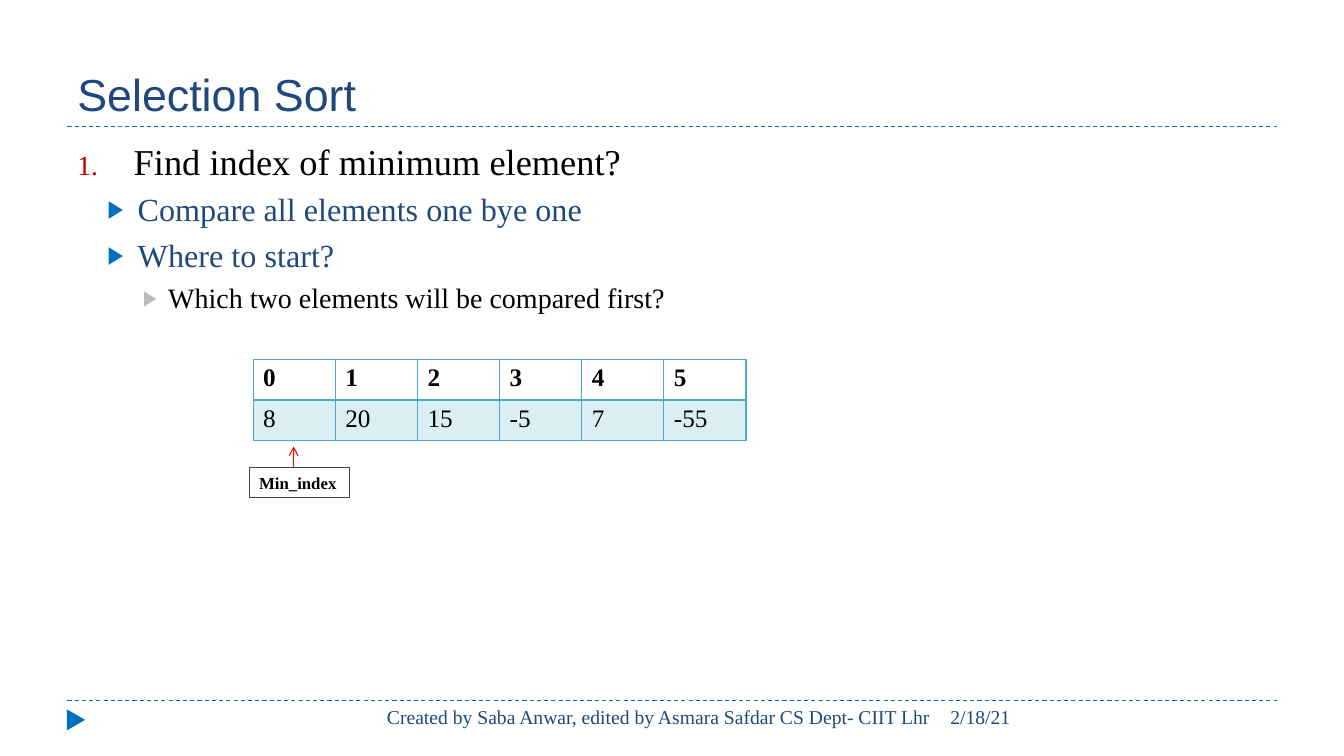
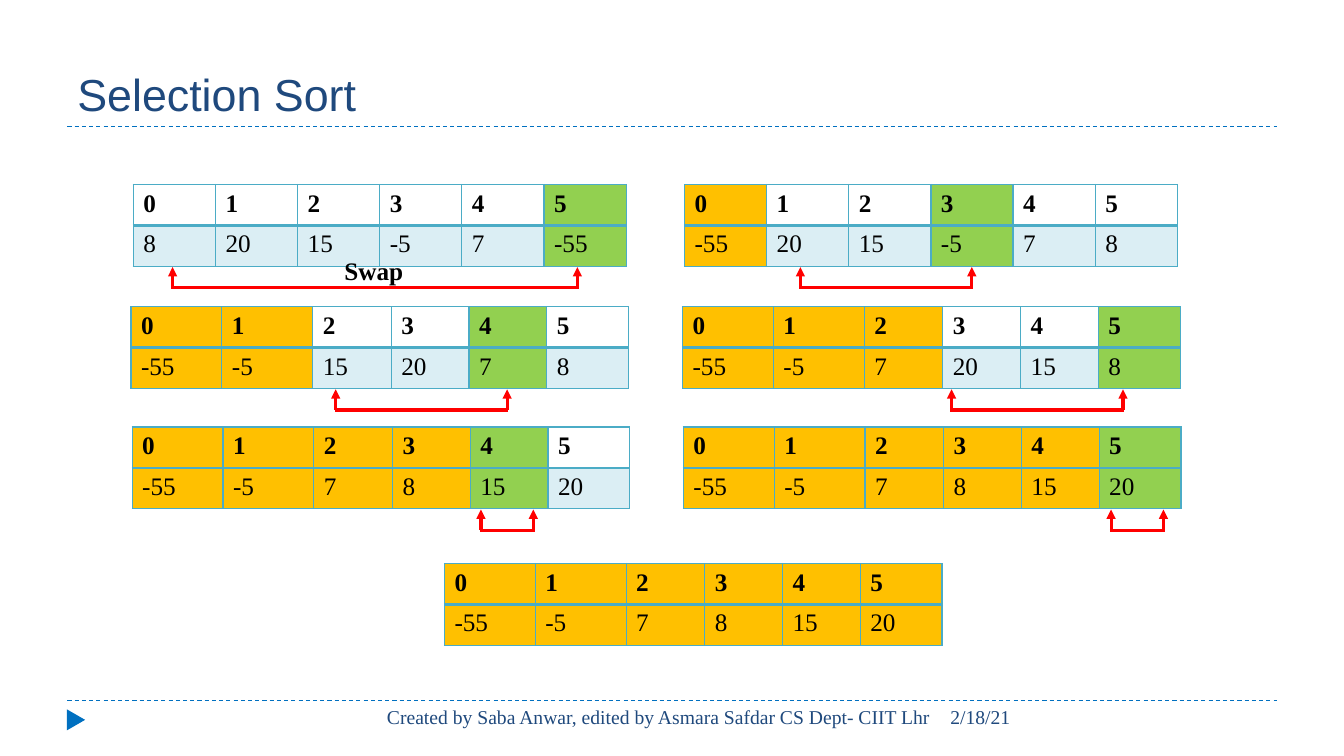
from lxml import etree
from pptx import Presentation
from pptx import util as u
from pptx.dml import color
from pptx.enum import dml, shapes, text
from pptx.oxml import ns

COLORS = {
    "navy": "1F497D", "blue": "0070C0", "black": "000000", "crimson": "C00000",
    "silver": "BDBDBD", "red": "FF0000", "frame": "404040", "teal": "4BACC6",
    "pale": "DBEEF4", "sorted": "FFC000", "minimum": "92D050",
}
SERIF, SANS = "Times New Roman", "Arial"
FOOTER = "Created by Saba Anwar, edited by Asmara Safdar CS Dept- CIIT Lhr"
START = [8, 20, 15, -5, 7, -55]
EVEN_COLUMNS = [2.07] * 6
WIDE_COLUMNS = [2.29, 2.29, 1.98, 1.96, 1.96, 2.06]
ROW = 1.03


def rgb(name):
    return color.RGBColor.from_string(COLORS[name])


def add_xml(parent, tag, **attributes):
    return etree.SubElement(parent, ns.qn(tag), attributes)


class SortDeck:
    def __init__(self):
        self.deck = Presentation()
        self.deck.slide_width = u.Cm(33.87)
        self.deck.slide_height = u.Cm(19.05)
        self.slide = None

    def new_slide(self, title):
        self.slide = self.deck.slides.add_slide(self.deck.slide_layouts[6])
        for y in (17.65, 3.18):
            self.line(1.7, y, 32.18, y, "blue", 0.75, dashed=True)
        marker = self.slide.shapes.add_shape(
            shapes.MSO_SHAPE.ISOSCELES_TRIANGLE,
            u.Cm(1.65), u.Cm(17.91), u.Cm(0.53), u.Cm(0.46))
        marker.rotation = 90
        marker.shadow.inherit = False
        marker.fill.solid()
        marker.fill.fore_color.rgb = rgb("blue")
        marker.line.fill.background()
        heading = self.text(1.7, 0.43, 30.48, 2.74, title, 32, "navy", font=SANS)
        heading.text_frame.vertical_anchor = text.MSO_ANCHOR.BOTTOM
        self.text(23.7, 17.65, 8.48, 1.02, "2/18/21", 14, "navy")
        footer = self.text(7.44, 17.65, 16.26, 1.02, FOOTER, 14, "navy")
        footer.text_frame.paragraphs[0].alignment = text.PP_ALIGN.RIGHT

    def style(self, para, size, tint, bold=False, font=SERIF):
        for span in para.runs:
            span.font.name = font
            span.font.size = u.Pt(size)
            span.font.bold = bold
            span.font.color.rgb = rgb(tint)

    def text(self, x, y, width, height, words, size, tint, bold=False, font=SERIF):
        box = self.slide.shapes.add_textbox(u.Cm(x), u.Cm(y), u.Cm(width), u.Cm(height))
        box.text_frame.word_wrap = True
        box.text_frame.text = words
        self.style(box.text_frame.paragraphs[0], size, tint, bold, font)
        return box

    def line(self, x1, y1, x2, y2, tint, width, dashed=False, head=None):
        line = self.slide.shapes.add_connector(
            shapes.MSO_CONNECTOR.STRAIGHT, u.Cm(x1), u.Cm(y1), u.Cm(x2), u.Cm(y2))
        line.line.color.rgb = rgb(tint)
        line.line.width = u.Pt(width)
        if dashed:
            line.line.dash_style = dml.MSO_LINE.DASH
        if head:
            add_xml(line.line._get_or_add_ln(), "a:tailEnd", type=head)
        add_xml(line._element.spPr, "a:effectLst")

    def outline(self, x, y, width, height, items):
        levels = [
            (1.42, -1.42, 6, 26, "black", "crimson"),
            (1.52, -0.76, 5, 23, "navy", "blue"),
            (2.29, -0.64, 5, 20, "black", "silver"),
        ]
        box = self.slide.shapes.add_textbox(u.Cm(x), u.Cm(y), u.Cm(width), u.Cm(height))
        frame = box.text_frame
        frame.word_wrap = True
        frame.text = "\n".join(words for _, words in items)
        for (level, _), para in zip(items, frame.paragraphs):
            margin, indent, before, size, tint, bullet = levels[level]
            self.style(para, size, tint)
            para.level = level
            para.space_before = u.Pt(before)
            props = para._p.get_or_add_pPr()
            props.set("marL", str(u.Cm(margin)))
            props.set("indent", str(u.Cm(indent)))
            add_xml(add_xml(props, "a:buClr"), "a:srgbClr", val=COLORS[bullet])
            add_xml(props, "a:buSzPct", val="76000")
            add_xml(props, "a:buFont", typeface=SANS if level else SERIF)
            if level:
                add_xml(props, "a:buChar", char="▶")
            else:
                add_xml(props, "a:buAutoNum", type="arabicPeriod")

    def label(self, x, y, width, height, words):
        box = self.slide.shapes.add_shape(
            shapes.MSO_SHAPE.RECTANGLE, u.Cm(x), u.Cm(y), u.Cm(width), u.Cm(height))
        box.shadow.inherit = False
        box.fill.background()
        box.line.color.rgb = rgb("frame")
        box.line.width = u.Pt(0.75)
        box.text_frame.text = words
        para = box.text_frame.paragraphs[0]
        para.alignment = text.PP_ALIGN.LEFT
        self.style(para, 12, "black", bold=True)

    def borders(self, cell, **widths):
        props = cell._tc.get_or_add_tcPr()
        for side in "LRTB":
            edge = add_xml(props, "a:ln" + side, w=str(u.Pt(widths.get(side, 1))))
            add_xml(add_xml(edge, "a:solidFill"), "a:srgbClr", val=COLORS["teal"])

    def array(self, x, y, columns, values, done=0, minimum=None):
        table = self.slide.shapes.add_table(
            2, len(values), u.Cm(x), u.Cm(y), u.Cm(sum(columns)), u.Cm(2 * ROW)).table
        table.first_row = table.horz_banding = False
        for row, items in enumerate((range(len(values)), values)):
            table.rows[row].height = u.Cm(ROW)
            for index, item in enumerate(items):
                table.columns[index].width = u.Cm(columns[index])
                cell = table.cell(row, index)
                cell.text = str(item)
                self.style(cell.text_frame.paragraphs[0], 18, "black", bold=row == 0)
                self.borders(cell, **{"TB"[1 - row]: 1, "BT"[row]: 2})
                tint = "pale" if row else None
                if index < done:
                    tint = "sorted"
                elif index == minimum:
                    tint = "minimum"
                if tint:
                    cell.fill.solid()
                    cell.fill.fore_color.rgb = rgb(tint)
                else:
                    cell.fill.background()

    def swap_arrows(self, left, right, top):
        base, tip = top + 2.6, top + 2.08
        self.line(left - 0.03, base, right + 0.03, base, "red", 2.25)
        for x in (right, left):
            self.line(x, base, x, tip, "red", 2.25, head="triangle")


def main():
    show = SortDeck()
    show.new_slide("Selection Sort")
    show.outline(1.7, 3.38, 30.48, 13.72, [
        (0, "Find index of minimum element?"),
        (1, "Compare all elements one bye one"),
        (1, "Where to start?"),
        (2, "Which two elements will be compared first?"),
    ])
    show.array(6.38, 9.05, EVEN_COLUMNS, START)
    show.label(6.28, 11.78, 2.53, 0.76, "Min_index")
    show.line(7.4, 11.78, 7.4, 11.25, "red", 0.75, head="arrow")

    show.new_slide("Selection Sort")
    steps = [
        (3.36, 4.65, EVEN_COLUMNS, 4.35, 14.55),
        (17.25, 4.65, EVEN_COLUMNS, 20.17, 24.49),
        (3.3, 7.73, WIDE_COLUMNS, 8.46, 12.78),
        (17.2, 7.73, WIDE_COLUMNS, 23.98, 28.3),
        (3.33, 10.76, WIDE_COLUMNS, 12.12, 13.44),
        (17.22, 10.76, WIDE_COLUMNS, 28, 29.32),
    ]
    values = list(START)
    for done, (x, y, columns, left, right) in enumerate(steps):
        minimum = values.index(min(values[done:]))
        show.array(x, y, columns, values, done, minimum)
        show.swap_arrows(left, right, y)
        values[done], values[minimum] = values[minimum], values[done]
    show.array(11.2, 14.2, WIDE_COLUMNS, values, done=len(values))
    swap = show.text(8.43, 6.32, 2.01, 1.02, "Swap", 18, "black", bold=True)
    swap.text_frame.word_wrap = False
    show.deck.save("out.pptx")


if __name__ == "__main__":
    main()
